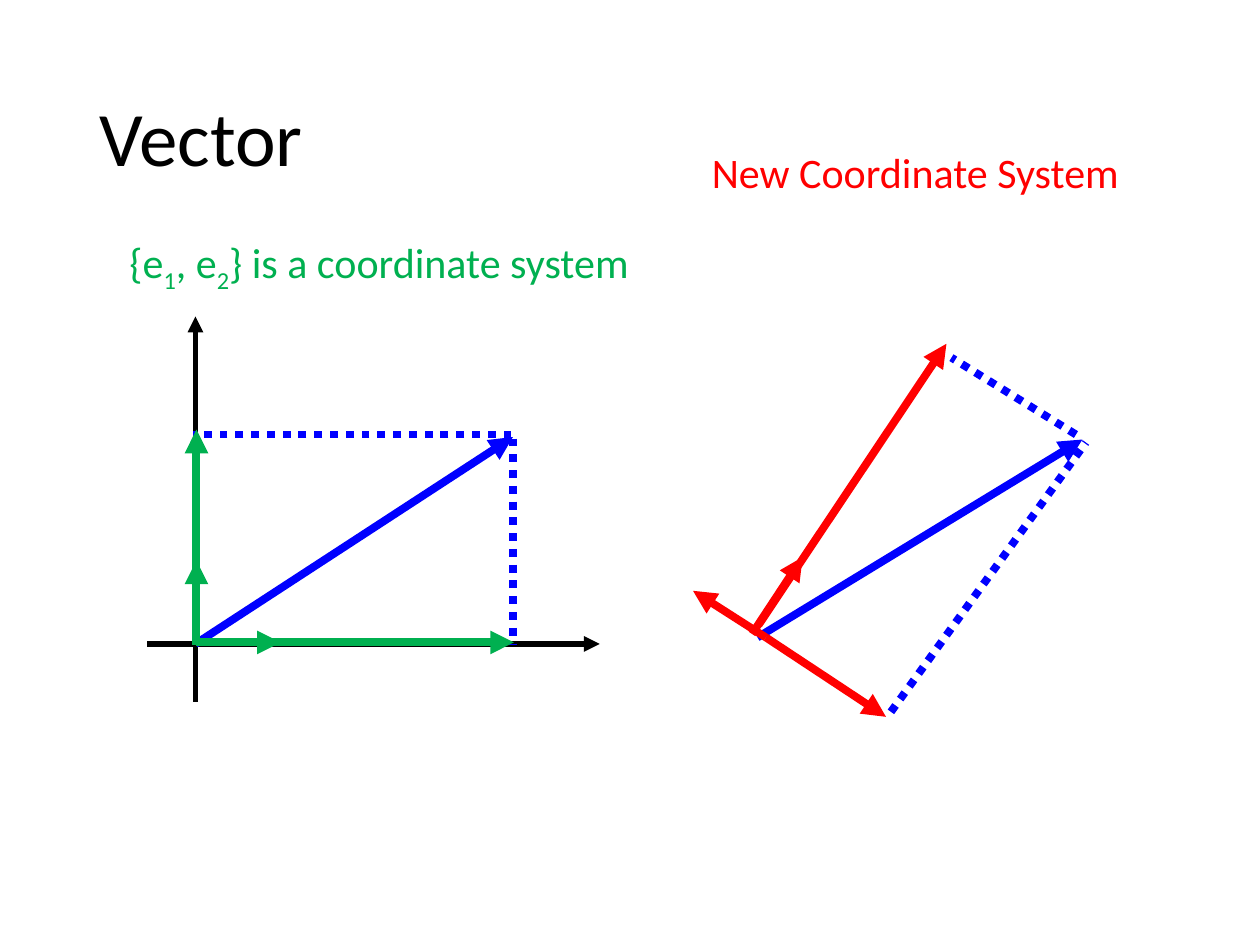
from lxml.etree import SubElement
from pptx import Presentation
from pptx.dml.color import RGBColor
from pptx.enum.dml import MSO_LINE
from pptx.enum.shapes import MSO_CONNECTOR
from pptx.enum.text import MSO_ANCHOR, MSO_AUTO_SIZE, PP_ALIGN
from pptx.oxml.ns import qn
from pptx.util import Cm, Pt

BLACK, BLUE, GREEN, RED = "000000", "0000FF", "00B050", "FF0000"


def add_runs(paragraph, runs, size, color):
    """Add (text, is_subscript) runs in one size and colour."""
    for text, is_subscript in runs:
        run = paragraph.add_run()
        run.text = text
        run.font.name = "Calibri"
        run.font.size = Pt(size)
        run.font.color.rgb = RGBColor.from_string(color)
        if is_subscript:
            run._r.get_or_add_rPr().set("baseline", "-25000")


def add_segment(start, end, color, width=4.5, dotted=False):
    """Draw a dotted line, or else an arrow, between two points in cm."""
    segment = slide.shapes.add_connector(
        MSO_CONNECTOR.STRAIGHT, *(Cm(value) for value in (*start, *end)))
    segment.line.color.rgb = RGBColor.from_string(color)
    segment.line.width = Pt(width)
    if dotted:
        segment.line.dash_style = MSO_LINE.ROUND_DOT
    else:
        SubElement(segment.line._get_or_add_ln(), qn("a:tailEnd"), type="triangle")
    SubElement(segment._element.spPr, qn("a:effectLst"))


presentation = Presentation()
presentation.slide_width, presentation.slide_height = Cm(25.4), Cm(19.05)
slide = presentation.slides.add_slide(presentation.slide_layouts[5])

heading = slide.shapes.title
heading.left, heading.top = Cm(1.75), Cm(1.02)
heading.width, heading.height = Cm(21.9), Cm(3.68)
heading.text_frame.vertical_anchor = MSO_ANCHOR.MIDDLE
heading_line = heading.text_frame.paragraphs[0]
heading_line.alignment = PP_ALIGN.LEFT
heading_line.line_spacing = 0.9
add_runs(heading_line, [("Vector", False)], 44, BLACK)

# Axes of the standard system
add_segment((2.97, 12.98), (12.09, 12.98), BLACK, width=3)
add_segment((3.94, 14.15), (3.94, 6.38), BLACK, width=3)

# Vector and its projections in the standard system
add_segment((3.94, 12.98), (10.34, 8.81), BLUE)
add_segment((10.34, 8.84), (10.34, 12.98), BLUE, dotted=True)
add_segment((10.31, 8.76), (3.89, 8.76), BLUE, dotted=True)

# Unit vectors and components along each axis
for tip_x in (5.66, 10.36):
    add_segment((3.96, 12.95), (tip_x, 12.95), GREEN)
for base_y, tip_y in ((13, 11.3), (12.85, 8.66)):
    add_segment((3.96, base_y), (3.96, tip_y), GREEN)

# The same vector in the rotated system
add_segment((15.27, 12.85), (21.82, 8.86), BLUE)
for start, end in (
    ((15.16, 12.78), (16.18, 11.23)),
    ((15.44, 12.85), (13.97, 11.91)),
    ((15.29, 12.6), (19.08, 6.93)),
):
    add_segment(start, end, RED)
add_segment((21.69, 8.76), (19.18, 7.21), BLUE, dotted=True)
add_segment((15.44, 12.85), (17.86, 14.45), RED)
add_segment((17.96, 14.35), (21.89, 8.92), BLUE, dotted=True)

captions = [
    (14.1, 2.82, 8.79, RED, [("New Coordinate System", False)]),
    (2.36, 4.65, 10.74, GREEN, [
        ("{e", False), ("1", True), (", e", False), ("2", True),
        ("} is a coordinate system", False),
    ]),
]
for left, top, width, color, runs in captions:
    caption = slide.shapes.add_textbox(Cm(left), Cm(top), Cm(width), Cm(1.27))
    caption.text_frame.word_wrap = False
    caption.text_frame.auto_size = MSO_AUTO_SIZE.SHAPE_TO_FIT_TEXT
    add_runs(caption.text_frame.paragraphs[0], runs, 24, color)

presentation.save("out.pptx")
